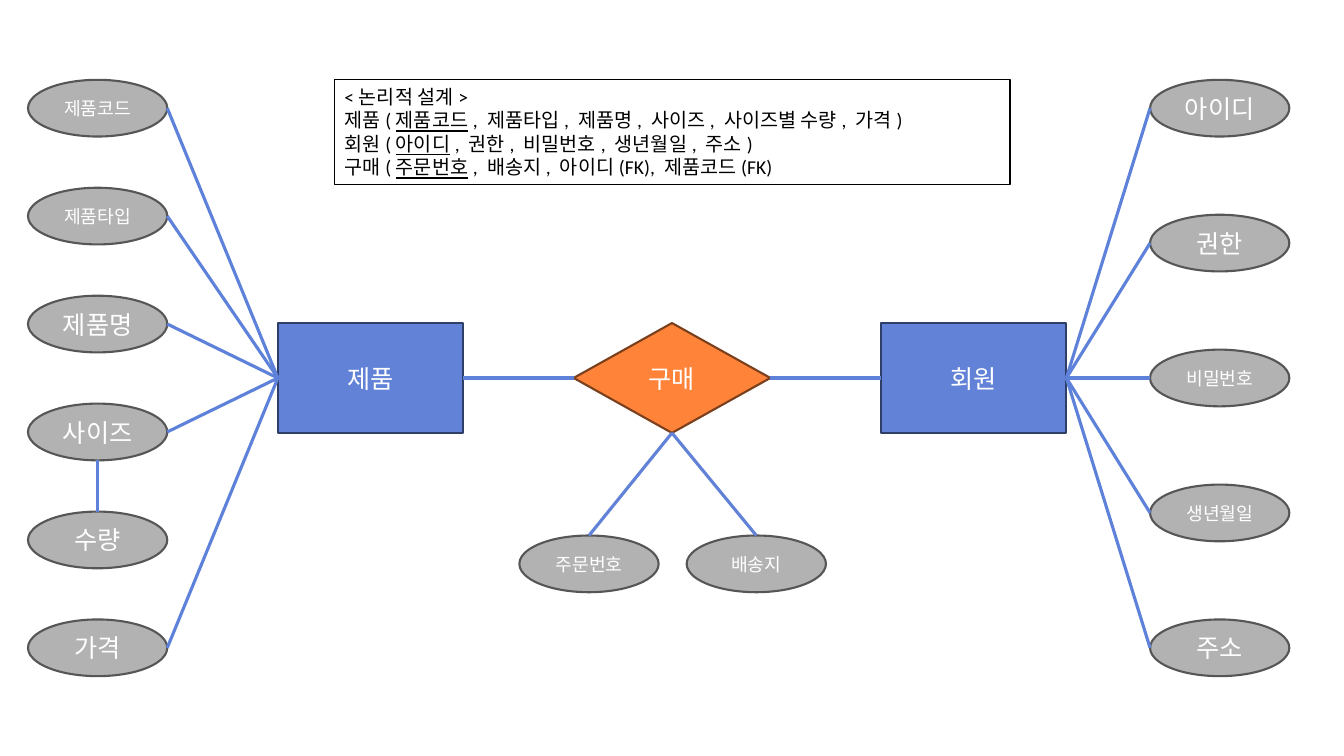
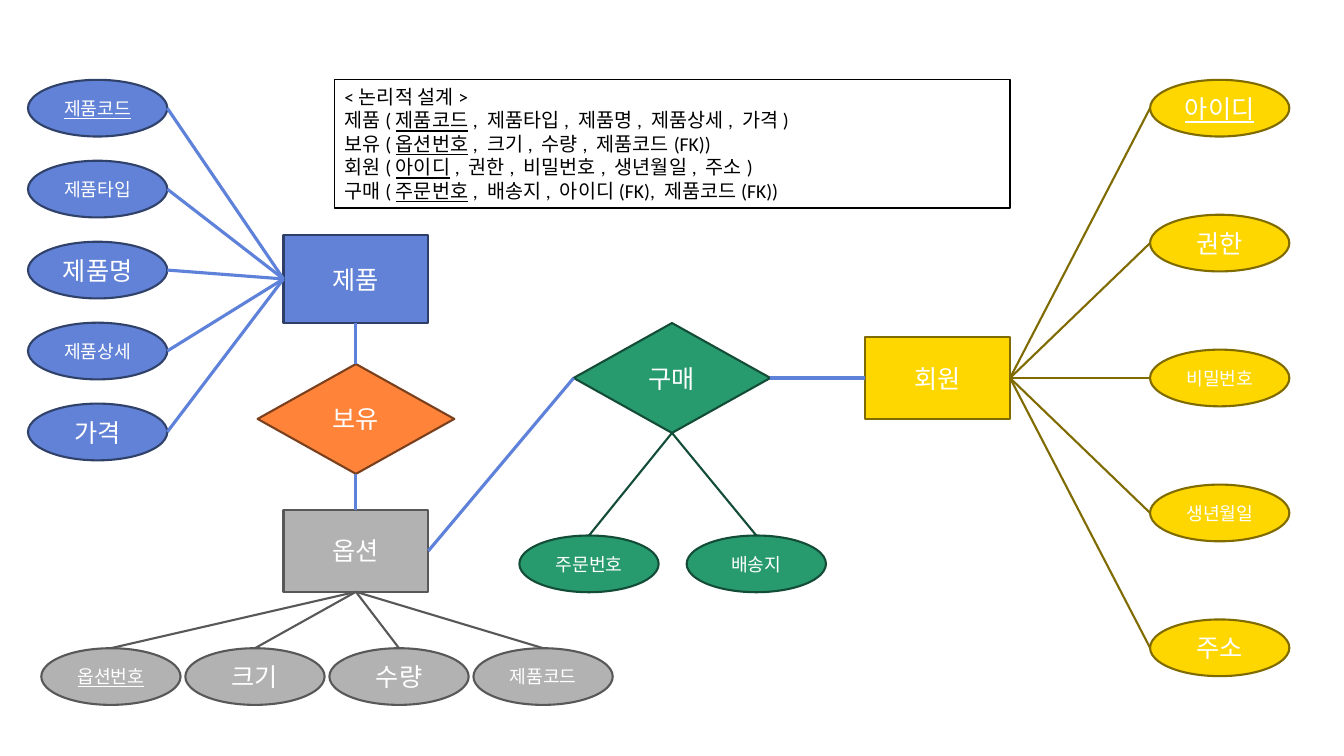
from dataclasses import dataclass

from lxml import etree
from pptx import Presentation
from pptx.dml.color import RGBColor
from pptx.enum.shapes import MSO_CONNECTOR, MSO_SHAPE
from pptx.enum.text import MSO_ANCHOR, MSO_AUTO_SIZE, PP_ALIGN
from pptx.oxml.ns import qn
from pptx.shapes.autoshape import Shape
from pptx.slide import Slide
from pptx.util import Pt

RECT, DIAMOND, ELLIPSE = MSO_SHAPE.RECTANGLE, MSO_SHAPE.DIAMOND, MSO_SHAPE.OVAL
STRAIGHT = MSO_CONNECTOR.STRAIGHT
MIDDLE, CENTER = MSO_ANCHOR.MIDDLE, PP_ALIGN.CENTER
FIT_SHAPE = MSO_AUTO_SIZE.SHAPE_TO_FIT_TEXT

FONT = "Calibri"
COLORS = {
    "black": "000000",
    "white": "FFFFFF",
    "link": "5E81D9",
    "blue": "6182D6",
    "blue_edge": "2E3E67",
    "blue_oval_edge": "30416A",
    "orange": "FF843A",
    "orange_edge": "7A3F1C",
    "gray": "B2B2B2",
    "gray_edge": "565656",
    "option_edge": "585858",
    "green": "289B6E",
    "green_edge": "144D37",
    "gold": "FFD700",
    "gold_edge": "7F6B00",
}

OUTLINE, THICK = 1.5, 2.25
OVAL_W, OVAL_H = 99.5, 40.5
DIAMOND_W, DIAMOND_H = 140.5, 78.5
TOP, MID_X, MID_Y = 57, 480, 270
COLUMN_H = 385.5
LEFT_X, RIGHT_X = 20, 821.5
ORDER_X, ORDER_Y, ORDER_STEP = 371, 382.5, 119.5
PRODUCT_X = 254.25


@dataclass(frozen=True)
class Style:
    fill: str
    edge: str


@dataclass(frozen=True)
class Attr:
    text: str
    size: int = 18
    key: bool = False


@dataclass(frozen=True)
class Relation:
    name: str
    key: str
    rest: str


BLUE = Style("blue", "blue_edge")
BLUE_OVAL = Style("blue", "blue_oval_edge")
ORANGE = Style("orange", "orange_edge")
GRAY = Style("gray", "gray_edge")
OPTION = Style("gray", "option_edge")
GREEN = Style("green", "green_edge")
GOLD = Style("gold", "gold_edge")

MEMBER_RELATION = Relation("회원", "아이디", ", 권한, 비밀번호, 생년월일, 주소)")
ORDER_ATTRS = [Attr("주문번호", 13), Attr("배송지", 13)]


def rgb(name: str) -> RGBColor:
    return RGBColor.from_string(COLORS[name])


def add_node(slide: Slide, kind: MSO_SHAPE, attr: Attr, style: Style,
             left: float, top: float, width: float, height: float) -> Shape:
    sp = slide.shapes.add_shape(kind, Pt(left), Pt(top), Pt(width), Pt(height))
    sp.shadow.inherit = False
    sp.fill.solid()
    sp.fill.fore_color.rgb = rgb(style.fill)
    sp.line.color.rgb = rgb(style.edge)
    sp.line.width = Pt(OUTLINE)
    tf = sp.text_frame
    tf.word_wrap = True
    tf.vertical_anchor = MIDDLE
    tf.text = attr.text
    p = tf.paragraphs[0]
    p.alignment = CENTER
    font = p.runs[0].font
    font.name = FONT
    font.size = Pt(attr.size)
    font.color.rgb = rgb("white")
    if attr.key:
        font.underline = True
    return sp


def add_diamond(slide: Slide, text: str, style: Style, cx: float, top: float) -> Shape:
    return add_node(slide, DIAMOND, Attr(text), style,
                    cx - DIAMOND_W / 2, top, DIAMOND_W, DIAMOND_H)


def add_ovals(slide: Slide, attrs: list[Attr], style: Style, left: float, top: float,
              dx: float = 0, dy: float = 0) -> list[Shape]:
    return [add_node(slide, ELLIPSE, attr, style, left + i * dx, top + i * dy, OVAL_W, OVAL_H)
            for i, attr in enumerate(attrs)]


def side_point(sp: Shape, side: str) -> tuple[int, int]:
    fx, fy = {"left": (0, 1), "right": (2, 1), "top": (1, 0), "bottom": (1, 2)}[side]
    return sp.left + sp.width * fx // 2, sp.top + sp.height * fy // 2


def link(slide: Slide, start: Shape, start_side: str, end: Shape, end_side: str,
         color: str = "link", width: float = THICK) -> None:
    cxn = slide.shapes.add_connector(
        STRAIGHT, *side_point(start, start_side), *side_point(end, end_side))
    cxn.line.color.rgb = rgb(color)
    cxn.line.width = Pt(width)
    etree.SubElement(cxn._element.spPr, qn("a:effectLst"))


def link_all(slide: Slide, hub: Shape, hub_side: str, ovals: list[Shape], oval_side: str,
             color: str = "link", width: float = THICK) -> None:
    for oval in ovals:
        link(slide, hub, hub_side, oval, oval_side, color, width)


def add_design(slide: Slide, relations: list[Relation], height: float) -> None:
    sp = slide.shapes.add_textbox(Pt(239), Pt(TOP), Pt(482.5), Pt(height))
    sp.line.color.rgb = rgb("black")
    sp.line.width = Pt(1)
    tf = sp.text_frame
    tf.word_wrap = True
    tf.auto_size = FIT_SHAPE
    tf.text = "<논리적 설계>"
    for rel in relations:
        p = tf.add_paragraph()
        for text in (f"{rel.name}(", rel.key, rel.rest):
            r = p.add_run()
            r.text = text
            if text == rel.key:
                r.font.underline = True
    for p in tf.paragraphs:
        for r in p.runs:
            r.font.name = FONT
            r.font.size = Pt(14)
            r.font.color.rgb = rgb("black")


def add_order(slide: Slide, style: Style, oval_style: Style, color: str, width: float) -> Shape:
    order = add_diamond(slide, "구매", style, MID_X, MID_Y - DIAMOND_H / 2)
    ovals = add_ovals(slide, ORDER_ATTRS, oval_style, ORDER_X, ORDER_Y, dx=ORDER_STEP)
    link_all(slide, order, "bottom", ovals, "top", color, width)
    return order


def add_member(slide: Slide, style: Style, oval_style: Style, left: float, width: float,
               height: float, key: bool, color: str, line_width: float) -> Shape:
    member = add_node(slide, RECT, Attr("회원"), style, left, MID_Y - height / 2, width, height)
    attrs = [Attr("아이디", key=key), Attr("권한"), Attr("비밀번호", 13),
             Attr("생년월일", 13), Attr("주소")]
    ovals = add_ovals(slide, attrs, oval_style, RIGHT_X, TOP, dy=COLUMN_H / 4)
    link_all(slide, member, "right", ovals, "left", color, line_width)
    return member


def build_first(slide: Slide) -> None:
    add_design(slide, [
        Relation("제품", "제품코드", ", 제품타입, 제품명, 사이즈, 사이즈별 수량, 가격)"),
        MEMBER_RELATION,
        Relation("구매", "주문번호", ", 배송지, 아이디(FK), 제품코드(FK)"),
    ], 75)
    width, height = 132.5, 78.5
    product = add_node(slide, RECT, Attr("제품"), BLUE, 198.5, MID_Y - height / 2, width, height)
    member = add_member(slide, BLUE, GRAY, 629.25, width, height, False, "link", THICK)
    order = add_order(slide, ORANGE, GRAY, "blue", THICK)
    attrs = [Attr("제품코드", 13), Attr("제품타입", 13), Attr("제품명"),
             Attr("사이즈"), Attr("수량"), Attr("가격")]
    ovals = add_ovals(slide, attrs, GRAY, LEFT_X, TOP, dy=COLUMN_H / 5)
    size, quantity = ovals[3:5]
    link_all(slide, product, "left", [o for o in ovals if o is not quantity], "right")
    link(slide, quantity, "top", size, "bottom")
    link(slide, product, "right", order, "left")
    link(slide, order, "right", member, "left")


def build_second(slide: Slide) -> None:
    add_design(slide, [
        Relation("제품", "제품코드", ", 제품타입, 제품명, 제품상세, 가격)"),
        Relation("보유", "옵션번호", ", 크기, 수량, 제품코드(FK))"),
        MEMBER_RELATION,
        Relation("구매", "주문번호", ", 배송지, 아이디(FK), 제품코드(FK))"),
    ], 91.5)
    width, height = 103.5, 58.5
    left = PRODUCT_X - width / 2
    product = add_node(slide, RECT, Attr("제품"), BLUE, left, 167.75, width, 63)
    has = add_diamond(slide, "보유", ORANGE, PRODUCT_X, 260)
    option = add_node(slide, RECT, Attr("옵션"), OPTION, left, 364.25, width, height)
    member = add_member(slide, GOLD, GOLD, 618, width, height, True, "gold_edge", OUTLINE)
    order = add_order(slide, GREEN, GREEN, "green_edge", OUTLINE)
    product_attrs = [Attr("제품코드", 13, True), Attr("제품타입", 13), Attr("제품명"),
                     Attr("제품상세", 13), Attr("가격")]
    ovals = add_ovals(slide, product_attrs, BLUE_OVAL, LEFT_X, TOP, dy=COLUMN_H * 0.6 / 4)
    link_all(slide, product, "left", ovals, "right")
    option_attrs = [Attr("옵션번호", 13, True), Attr("크기"), Attr("수량"), Attr("제품코드", 13)]
    ovals = add_ovals(slide, option_attrs, OPTION, 29.5, 463, dx=102.9)
    link_all(slide, option, "bottom", ovals, "top", "option_edge", OUTLINE)
    link(slide, product, "bottom", has, "top")
    link(slide, has, "bottom", option, "top")
    link(slide, option, "right", order, "left")
    link(slide, order, "right", member, "left")


def main() -> None:
    prs = Presentation()
    prs.slide_width, prs.slide_height = Pt(960), Pt(540)
    blank = prs.slide_layouts[6]
    for build in (build_first, build_second):
        build(prs.slides.add_slide(blank))
    prs.save("out.pptx")


if __name__ == "__main__":
    main()
